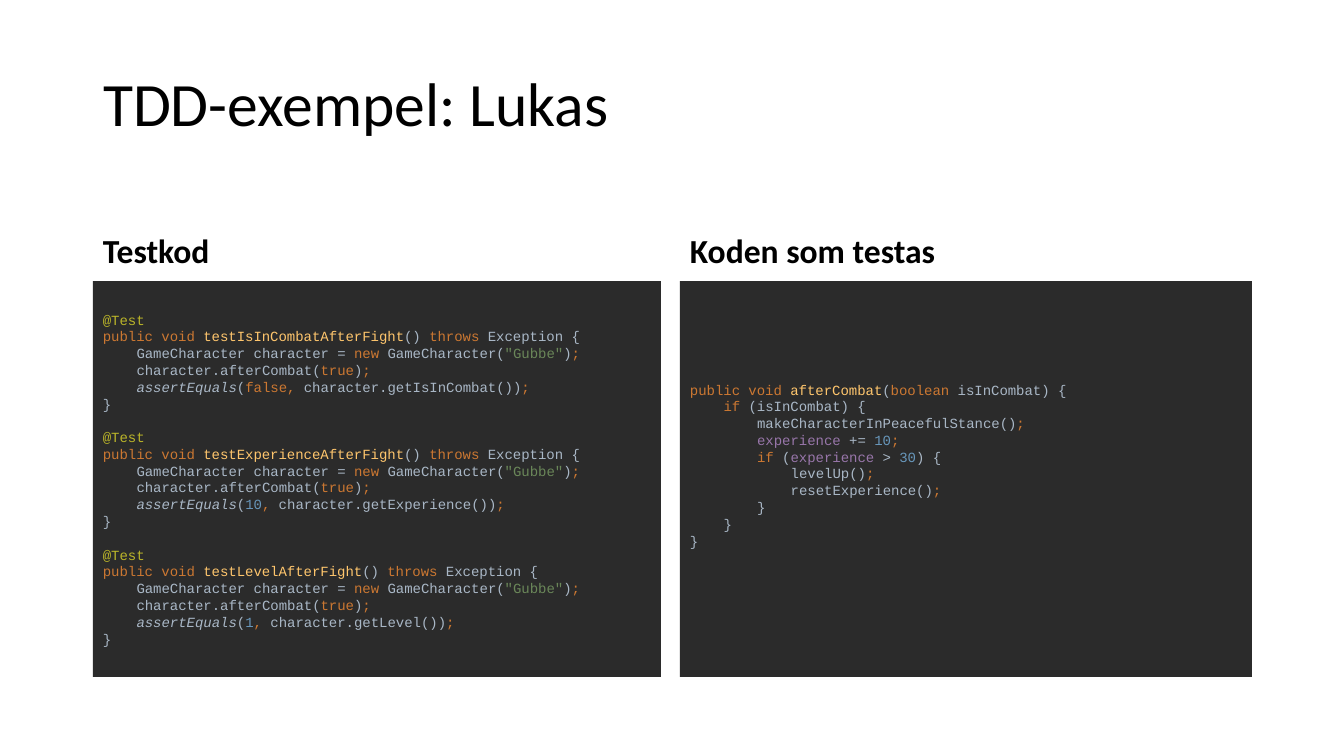
from itertools import groupby

from pptx import Presentation
from pptx.dml.color import RGBColor as RGB
from pptx.enum.shapes import MSO_SHAPE as Shape
from pptx.enum.text import MSO_ANCHOR as Anchor, PP_ALIGN as Align
from pptx.util import Emu, Pt

SCALE = 914400 / 100.8

BLACK = RGB(0x00, 0x00, 0x00)
PANEL = RGB(0x2B, 0x2B, 0x2B)
PLAIN = RGB(0xA9, 0xB7, 0xC6)
KEY = RGB(0xCC, 0x78, 0x32)
FUNC = RGB(0xFF, 0xC6, 0x6D)
FIELD = RGB(0x98, 0x76, 0xAA)
NUM = RGB(0x68, 0x97, 0xBB)
NOTE = RGB(0xBB, 0xB5, 0x29)
QUOTE = RGB(0x6A, 0x87, 0x59)

KEYWORDS = {"public", "void", "throws", "new", "true", "false", "boolean", "if"}

TEST = """@Test
public void {name}() throws Exception {{
    GameCharacter character = new GameCharacter("Gubbe");
    character.afterCombat(true);
    assertEquals({want}, character.{getter}());
}}"""

CASES = [
    ("testIsInCombatAfterFight", "false", "getIsInCombat"),
    ("testExperienceAfterFight", "10", "getExperience"),
    ("testLevelAfterFight", "1", "getLevel"),
]

TESTED = """public void afterCombat(boolean isInCombat) {
    if (isInCombat) {
        makeCharacterInPeacefulStance();
        experience += 10;
        if (experience > 30) {
            levelUp();
            resetExperience();
        }
    }
}"""


def px(n):
    return Emu(round(n * SCALE))


def write(par, text, size=10, font="Courier New", color=PLAIN, bold=False, italic=False):
    run = par.add_run()
    run.text = text
    face = run.font
    face.size, face.name = Pt(size), font
    face.bold, face.italic = bold, italic
    face.color.rgb = color


def place(shape, x, y, w, h):
    shape.left, shape.top, shape.width, shape.height = map(px, (x, y, w, h))


def label(shape, text, anchor, **style):
    frame = shape.text_frame
    frame.word_wrap = True
    frame.vertical_anchor = anchor
    par = frame.paragraphs[0]
    par.alignment = Align.LEFT
    par.line_spacing = 0.9
    write(par, text, font="Calibri", color=BLACK, **style)


def kind(char):
    if char.isalnum() or char in '@"':
        return "word"
    return "end" if char in ";," else "sign"


def paint(group, token, last):
    """Choose the colour of a token from its form and the word before it."""
    if group == "end" or token in KEYWORDS:
        return KEY
    if group == "sign":
        return PLAIN
    if last == "void":
        return FUNC
    if token == "experience":
        return FIELD
    if token.isdigit():
        return NUM
    return {"@": NOTE, '"': QUOTE}.get(token[0], PLAIN)


def code_line(par, line):
    text = line.lstrip()
    par.alignment = Align.LEFT
    par.line_spacing = Pt(12)
    # Each code character is 6 pt wide
    par._p.get_or_add_pPr().set("marL", str(Pt(6 * (len(line) - len(text)))))
    last = ""
    for group, chars in groupby(text, kind):
        token = "".join(chars)
        write(par, token, color=paint(group, token, last),
              italic=token == "assertEquals")
        if group == "word":
            last = token


def code_box(slide, x, w, blocks, foot=5):
    box = slide.shapes.add_shape(Shape.RECTANGLE, 0, 0, 0, 0)
    place(box, x, 281, w, 396)
    box.shadow.inherit = False
    box.fill.solid()
    box.fill.fore_color.rgb = PANEL
    box.line.fill.background()
    frame = box.text_frame
    frame.word_wrap = False
    frame.vertical_anchor = Anchor.MIDDLE
    frame.margin_bottom = px(foot)
    par = None
    for block in blocks:
        for row, line in enumerate(block.split("\n")):
            first = par is None
            par = frame.paragraphs[0] if first else frame.add_paragraph()
            code_line(par, line)
            if row == 0 and not first:
                par.space_before = Pt(12)


def main():
    deck = Presentation()
    deck.slide_width, deck.slide_height = px(1344), px(756)
    slide = deck.slides.add_slide(deck.slide_layouts[5])

    # Title
    title = slide.shapes.title
    place(title, 93, 34, 1159, 146)
    label(title, "TDD-exempel: Lukas", Anchor.MIDDLE, size=44)

    # Column headings and code panels
    tests = [TEST.format(name=n, want=v, getter=g) for n, v, g in CASES]
    columns = [
        ("Testkod", 93, 568, tests, 5),
        ("Koden som testas", 680, 572, [TESTED], 33),
    ]
    for text, x, w, blocks, foot in columns:
        head = slide.shapes.add_textbox(px(x), px(185), px(w), px(91))
        label(head, text, Anchor.BOTTOM, size=24, bold=True)
        code_box(slide, x, w, blocks, foot)

    deck.save("out.pptx")


if __name__ == "__main__":
    main()
